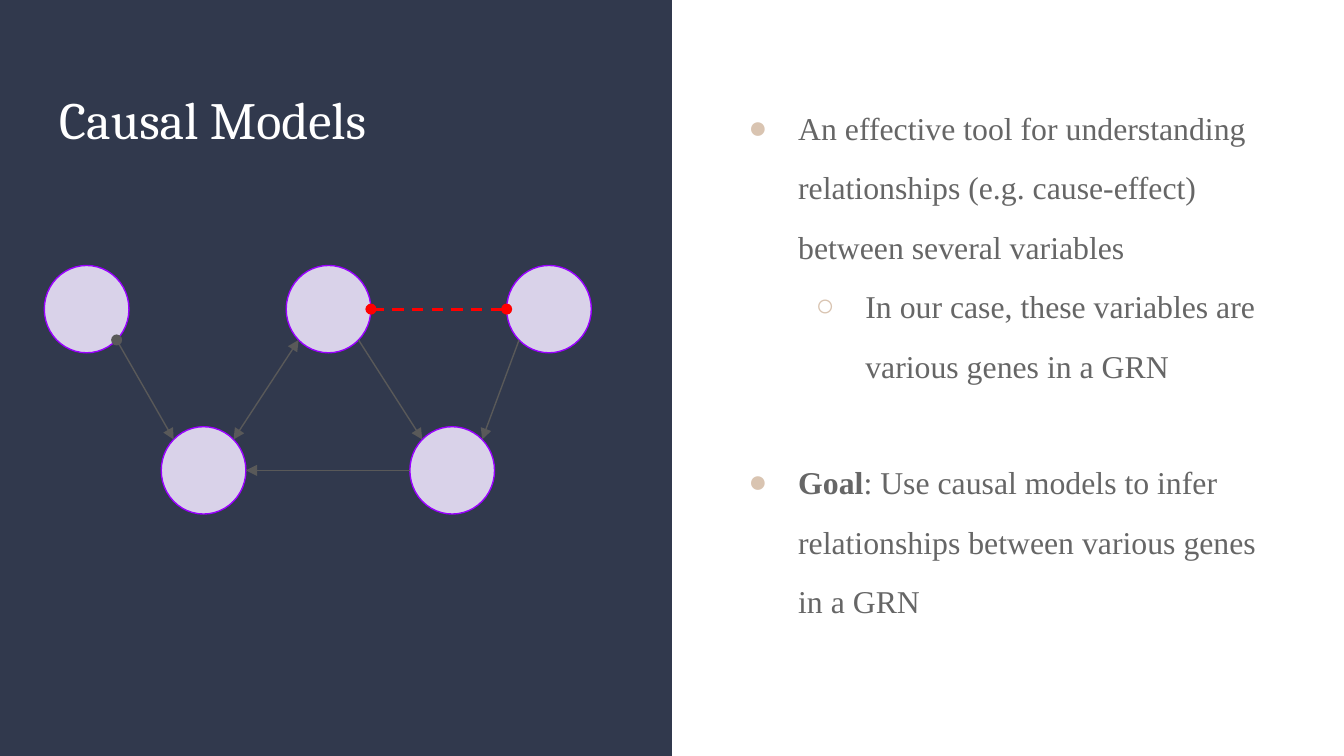
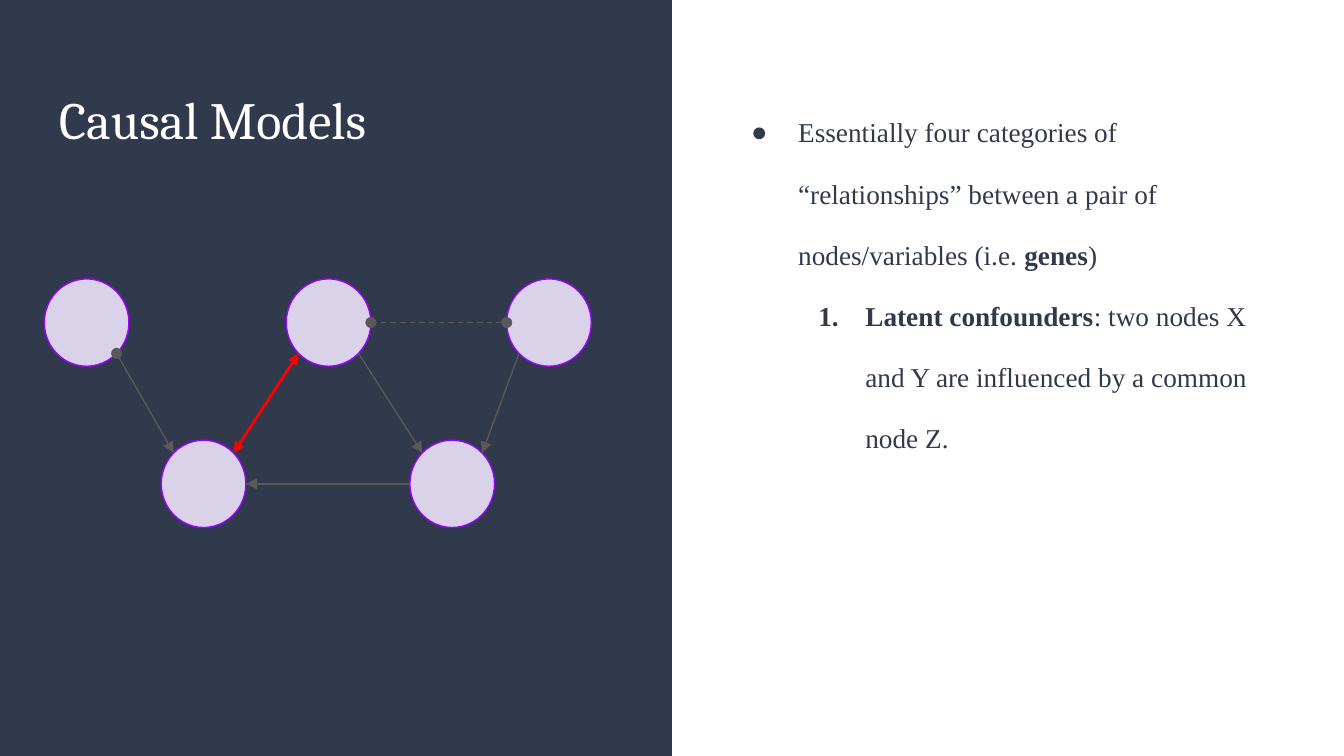
from math import sqrt

from lxml.etree import SubElement
from pptx import Presentation
from pptx.dml.color import RGBColor
from pptx.enum.dml import MSO_LINE_DASH_STYLE as Dash
from pptx.enum.shapes import MSO_CONNECTOR as Connector, MSO_SHAPE as Shape
from pptx.enum.text import MSO_ANCHOR as Anchor, PP_ALIGN as Align
from pptx.oxml.ns import qn
from pptx.util import Inches, Pt

CELL = Inches(0.1)
COLUMNS, ROWS = 100, 56.25
TITLE_FONT, BODY_FONT = "Cambria", "Times New Roman"
COLORS = {
    "band": "31394D", "title": "FFFFFF", "gray_text": "666666", "tan": "D9C4B1",
    "node": "D9D2E9", "node_edge": "9900FF", "link": "595959", "highlight": "FF0000",
}
RADIUS_X, RADIUS_Y = 3.15, 3.25
TOP_ROW, BOTTOM_ROW = 0, 12
NODES = {
    "A": (6.45, TOP_ROW), "B": (15.15, BOTTOM_ROW), "C": (24.45, TOP_ROW),
    "D": (33.65, BOTTOM_ROW), "E": (40.85, TOP_ROW),
}
LINKS = {
    "AB": ("oval", "triangle"), "BC": ("triangle", "triangle"), "CD": (None, "triangle"),
    "DB": (None, "triangle"), "EC": ("oval", "oval"), "ED": (None, "triangle"),
}


def color(name):
    """Look up a palette colour."""
    return RGBColor.from_string(COLORS[name])


def cells(*counts):
    """Turn counts of grid cells into lengths."""
    return [round(count * CELL) for count in counts]


def sign(value):
    """Give -1, 0 or 1."""
    return (value > 0) - (value < 0)


def set_frame(frame):
    """Give a text frame its margins, wrapping and top anchor."""
    frame.word_wrap = True
    frame.vertical_anchor = Anchor.TOP
    frame.margin_left = frame.margin_right = frame.margin_top = frame.margin_bottom = CELL


def set_font(font, name, size, color_name, bold=False):
    """Format a font."""
    font.name, font.size, font.bold = name, Pt(size), bold
    font.color.rgb = color(color_name)


def add_band(page, layout):
    """Put the dark left half on the layout, behind everything."""
    band = page.shapes.add_shape(Shape.RECTANGLE, *cells(0, 0, COLUMNS / 2, ROWS))
    band.shadow.inherit = False
    band.fill.solid()
    band.fill.fore_color.rgb = color("band")
    band.line.fill.background()
    layout.shapes.element.insert(2, band.element)


def set_title(page, text):
    """Place and format the title."""
    title = page.shapes.title
    title.left, title.top, title.width, title.height = cells(3.4, 5.5, 40.5, 22.4)
    set_frame(title.text_frame)
    title.text_frame.text = text
    para = title.text_frame.paragraphs[0]
    para.alignment = Align.LEFT
    set_font(para.runs[0].font, TITLE_FONT, 28, "title")


def set_bullet(para, mark, color_name, level, hang):
    """Give a paragraph a bullet or number with a hanging indent."""
    props = para._p.get_or_add_pPr()
    props.set("marL", str(Inches(0.5 * (level + 1))))
    props.set("indent", str(-Inches(hang)))
    tint = SubElement(props, qn("a:buClr"))
    SubElement(tint, qn("a:srgbClr"), val=COLORS[color_name])
    SubElement(props, qn("a:buFont"), typeface=BODY_FONT)
    if mark == "1.":
        SubElement(props, qn("a:buAutoNum"), type="arabicPeriod")
    else:
        SubElement(props, qn("a:buChar"), char=mark)


def add_body(page, items, size, spacing, hang, text_color, bullet_color):
    """Add the list; an item is level, mark, points before, and (text, bold) spans."""
    box = page.shapes.add_textbox(*cells(53.4, 5.5, 43.2, 45))
    frame = box.text_frame
    set_frame(frame)
    for index, (level, mark, before, spans) in enumerate(items):
        para = frame.add_paragraph() if index else frame.paragraphs[0]
        para.level = level
        para.line_spacing = spacing
        para.space_before = Pt(before)
        set_bullet(para, mark, bullet_color, level, hang)
        for text, bold in spans:
            span = para.add_run()
            span.text = text
            set_font(span.font, BODY_FONT, size, text_color, bold)


def add_node(group, x, y):
    """Add a graph node around its centre."""
    node = group.shapes.add_shape(
        Shape.OVAL, *cells(x - RADIUS_X, y - RADIUS_Y, 2 * RADIUS_X, 2 * RADIUS_Y))
    node.shadow.inherit = False
    node.fill.solid()
    node.fill.fore_color.rgb = color("node")
    node.line.color.rgb = color("node_edge")
    node.line.width = Pt(0.75)


def add_link(group, start, end, ends, dashed, highlighted):
    """Join two nodes from rim to rim."""
    (x1, y1), (x2, y2) = start, end
    share = 1 / sqrt(2) if y1 != y2 else 1
    dx = sign(x2 - x1) * RADIUS_X * share
    dy = sign(y2 - y1) * RADIUS_Y * share
    link = group.shapes.add_connector(
        Connector.STRAIGHT, *cells(x1 + dx, y1 + dy, x2 - dx, y2 - dy))
    link.line.color.rgb = color("highlight" if highlighted else "link")
    link.line.width = Pt(1.5 if highlighted else 0.75)
    if dashed:
        link.line.dash_style = Dash.DASH
    outline = link.line._get_or_add_ln()
    for tag, kind in zip(("a:headEnd", "a:tailEnd"), ends):
        if kind:
            SubElement(outline, qn(tag), type=kind, w="med", len="med")
    SubElement(link._element.spPr, qn("a:effectLst"))


def add_graph(page, top, highlight):
    """Draw the causal graph with one link highlighted."""
    group = page.shapes.add_group_shape()
    centres = {name: (x, y + top) for name, (x, y) in NODES.items()}
    for centre in centres.values():
        add_node(group, *centre)
    for pair, ends in LINKS.items():
        start, end = (centres[name] for name in pair)
        add_link(group, start, end, ends, pair == "EC", pair == highlight)


def main():
    """Build the deck."""
    deck = Presentation()
    deck.slide_width, deck.slide_height = cells(COLUMNS, ROWS)
    layout = deck.slide_layouts[5]
    models, categories = (deck.slides.add_slide(layout) for _ in range(2))
    add_band(models, layout)
    for page in (models, categories):
        set_title(page, "Causal Models")

    add_body(models, [
        (0, "●", 0, [("An effective tool for understanding relationships "
                      "(e.g. cause-effect) between several variables", False)]),
        (1, "○", 0, [("In our case, these variables are various genes in a GRN", False)]),
        (0, "●", 30.6, [("Goal", True), (": Use causal models to infer relationships "
                                         "between various genes in a GRN", False)]),
    ], 17, 1.56, 0.37, "gray_text", "tan")
    add_graph(models, 23, "EC")

    add_body(categories, [
        (0, "●", 0, [("Essentially four categories of “relationships” between a pair of "
                      "nodes/variables (i.e. ", False), ("genes", True), (")", False)]),
        (1, "1.", 0, [("Latent confounders", True),
                      (": two nodes X and Y are influenced by a common node Z.", False)]),
    ], 14.6, 1.87, 0.35, "band", "band")
    add_graph(categories, 24, "BC")
    deck.save("out.pptx")


if __name__ == "__main__":
    main()
